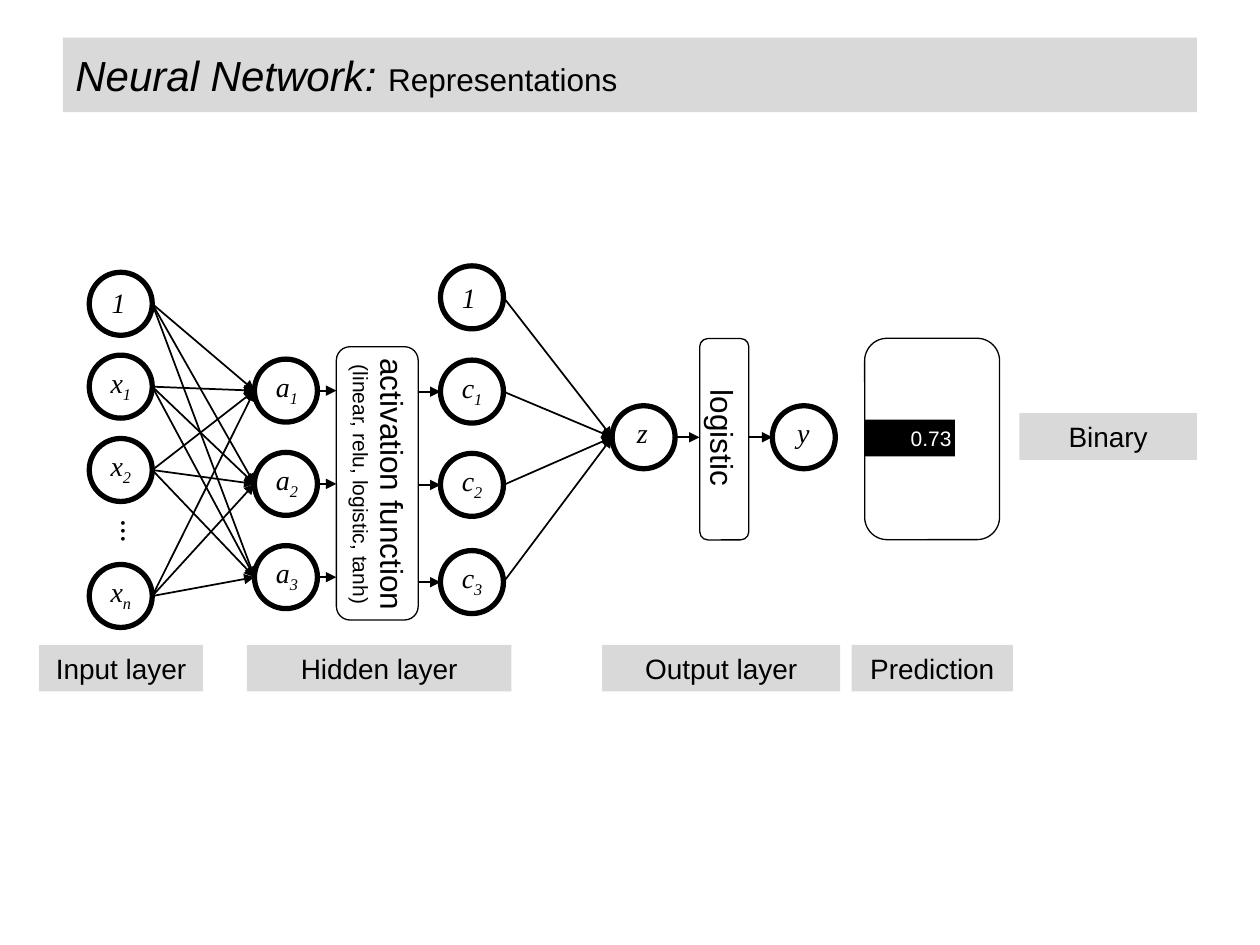
from lxml import etree
from pptx import Presentation
from pptx.dml.color import RGBColor
from pptx.enum.shapes import MSO_CONNECTOR, MSO_SHAPE
from pptx.enum.text import MSO_ANCHOR, MSO_AUTO_SIZE, PP_ALIGN
from pptx.oxml.ns import qn
from pptx.util import Cm, Pt

RECT, ROUND, OVAL = MSO_SHAPE.RECTANGLE, MSO_SHAPE.ROUNDED_RECTANGLE, MSO_SHAPE.OVAL
STRAIGHT = MSO_CONNECTOR.STRAIGHT
TOP, MIDDLE = MSO_ANCHOR.TOP, MSO_ANCHOR.MIDDLE
LEFT, CENTER = PP_ALIGN.LEFT, PP_ALIGN.CENTER
GROW = MSO_AUTO_SIZE.SHAPE_TO_FIT_TEXT

COLORS = {"ink": "000000", "band": "D9D9D9", "paper": "FFFFFF"}
SIZE = 1.27  # node diameter

# Text formats
MATH = {"name": "Times New Roman", "size": Pt(16), "italic": True}
LABEL = {"name": "Arial", "size": Pt(16)}
LARGE = {"name": "Arial", "size": Pt(18)}
SMALL = {"name": "Arial", "size": Pt(12)}
TITLE = {"name": "Arial", "size": Pt(24), "italic": True}
DOTS = {"name": "Calibri", "size": Pt(18)}


def color(name):
    return RGBColor.from_string(COLORS[name])


def add_run(para, text, style, ink="ink", sub=False):
    run = para.add_run()
    run.text = text
    for key, value in style.items():
        setattr(run.font, key, value)
    run.font.color.rgb = color(ink)
    if sub:
        run.font._element.set("baseline", "-25000")


def add_form(slide, kind, box, fill=None, line=None, turn=0):
    form = slide.shapes.add_shape(kind, *map(Cm, box))
    form.shadow.inherit = False
    form.rotation = turn
    if fill:
        form.fill.solid()
        form.fill.fore_color.rgb = color(fill)
    else:
        form.fill.background()
    if line:
        form.line.color.rgb = color("ink")
        form.line.width = Pt(line)
    else:
        form.line.fill.background()
    return form


def add_text(slide, box, lines, align=LEFT, ink="ink", turn=0, wrap=True):
    """Each line is a list of (text, style, is subscript)."""
    area = slide.shapes.add_textbox(*map(Cm, box))
    area.rotation = turn
    frame = area.text_frame
    frame.word_wrap = wrap
    frame.auto_size = GROW
    for i, runs in enumerate(lines):
        para = frame.add_paragraph() if i else frame.paragraphs[0]
        para.alignment = align
        for text, style, sub in runs:
            add_run(para, text, style, ink, sub)


def add_band(slide, box, runs, align=CENTER, anchor=TOP):
    frame = add_form(slide, RECT, box, fill="band").text_frame
    frame.word_wrap = True
    frame.vertical_anchor = anchor
    para = frame.paragraphs[0]
    para.alignment = align
    for text, style in runs:
        add_run(para, text, style)


def add_node(slide, x, y, text, sub="", dx=0.18, dy=0.08):
    add_form(slide, OVAL, (x, y, SIZE, SIZE), line=3)
    runs = [(text, MATH, False)]
    if sub:
        runs.append((sub, MATH, True))
    add_text(slide, (x + dx, y + dy, 1.22, 0.94), [runs])
    mid = y + SIZE / 2
    return {"in": (x, mid), "out": (x + SIZE, mid)}


def add_arrow(slide, start, end):
    line = slide.shapes.add_connector(STRAIGHT, *map(Cm, (*start, *end)))
    line.line.color.rgb = color("ink")
    line.line.width = Pt(1)
    outline = line.line._get_or_add_ln()
    etree.SubElement(outline, qn("a:tailEnd"), type="triangle")
    etree.SubElement(line._element.spPr, qn("a:effectLst"))


def main():
    deck = Presentation()
    deck.slide_width, deck.slide_height = Cm(25.4), Cm(19.05)
    slide = deck.slides.add_slide(deck.slide_layouts[6])

    # Title
    add_band(slide, (1.27, 0.76, 22.86, 1.5),
             [("Neural Network: ", TITLE), ("Representations", LARGE)], LEFT, MIDDLE)

    # Nodes of each layer
    bias = add_node(slide, 1.8, 5.49, "1", dx=0.2, dy=0.15)
    inputs = [bias] + [add_node(slide, 1.8, y, "x", sub)
                       for y, sub in ((7.16, "1"), (8.84, "2"), (11.38, "n"))]
    add_text(slide, (2.34, 10.08, 0.71, 1.02), [[("…", DOTS, False)]], turn=90)
    hidden = [add_node(slide, 5.13, 7.24 + 1.88 * i, "a", str(i + 1))
              for i in range(3)]
    offset = add_node(slide, 8.88, 5.36, "1", dy=0.18)
    active = [add_node(slide, 8.88, y, "c", str(i))
              for i, y in enumerate((7.26, 9.14, 11.1), 1)]
    score = add_node(slide, 12.34, 8.18, "z", dx=0.25)
    result = add_node(slide, 15.57, 8.18, "y", dx=0.25)

    # Function boxes
    add_form(slide, ROUND, (4.85, 8.92, 5.51, 1.65), line=0.75, turn=90)
    add_text(slide, (4.83, 8.99, 5.64, 1.55),
             [[("activation function", LARGE, False)],
              [("(linear, relu, logistic, tanh)", SMALL, False)]],
             CENTER, turn=90, wrap=False)
    add_form(slide, ROUND, (12.57, 8.36, 4.06, 0.99), line=0.75, turn=90)
    add_text(slide, (13.34, 8.33, 2.46, 1.02), [[("logistic", LARGE, False)]],
             turn=90, wrap=False)

    # Arrows between layers and through the boxes
    for node in hidden:
        for source in inputs:
            add_arrow(slide, source["out"], node["in"])
        add_arrow(slide, node["out"], (6.78, node["out"][1]))
    for node in active:
        add_arrow(slide, (8.43, node["in"][1]), node["in"])
    for node in [offset] + active:
        add_arrow(slide, node["out"], score["in"])
    level = score["out"][1]
    add_arrow(slide, score["out"], (14.1, level))
    add_arrow(slide, (15.09, level), result["in"])

    # Predicted value
    add_form(slide, ROUND, (16.76, 7.49, 4.06, 2.72), line=0.75, turn=90)
    add_form(slide, RECT, (17.42, 8.46, 1.83, 0.74), fill="ink")
    add_text(slide, (18.11, 8.46, 1.5, 0.76), [[("0.73", SMALL, False)]], ink="paper")

    # Captions
    for x, y, width, text in (
        (20.55, 8.33, 3.58, "Binary"),
        (0.79, 13, 3.3, "Input layer"),
        (4.98, 13, 5.33, "Hidden layer"),
        (12.14, 13, 4.8, "Output layer"),
        (17.17, 13, 3.25, "Prediction"),
    ):
        add_band(slide, (x, y, width, 0.94), [(text, LABEL)])

    deck.save("out.pptx")


if __name__ == "__main__":
    main()
